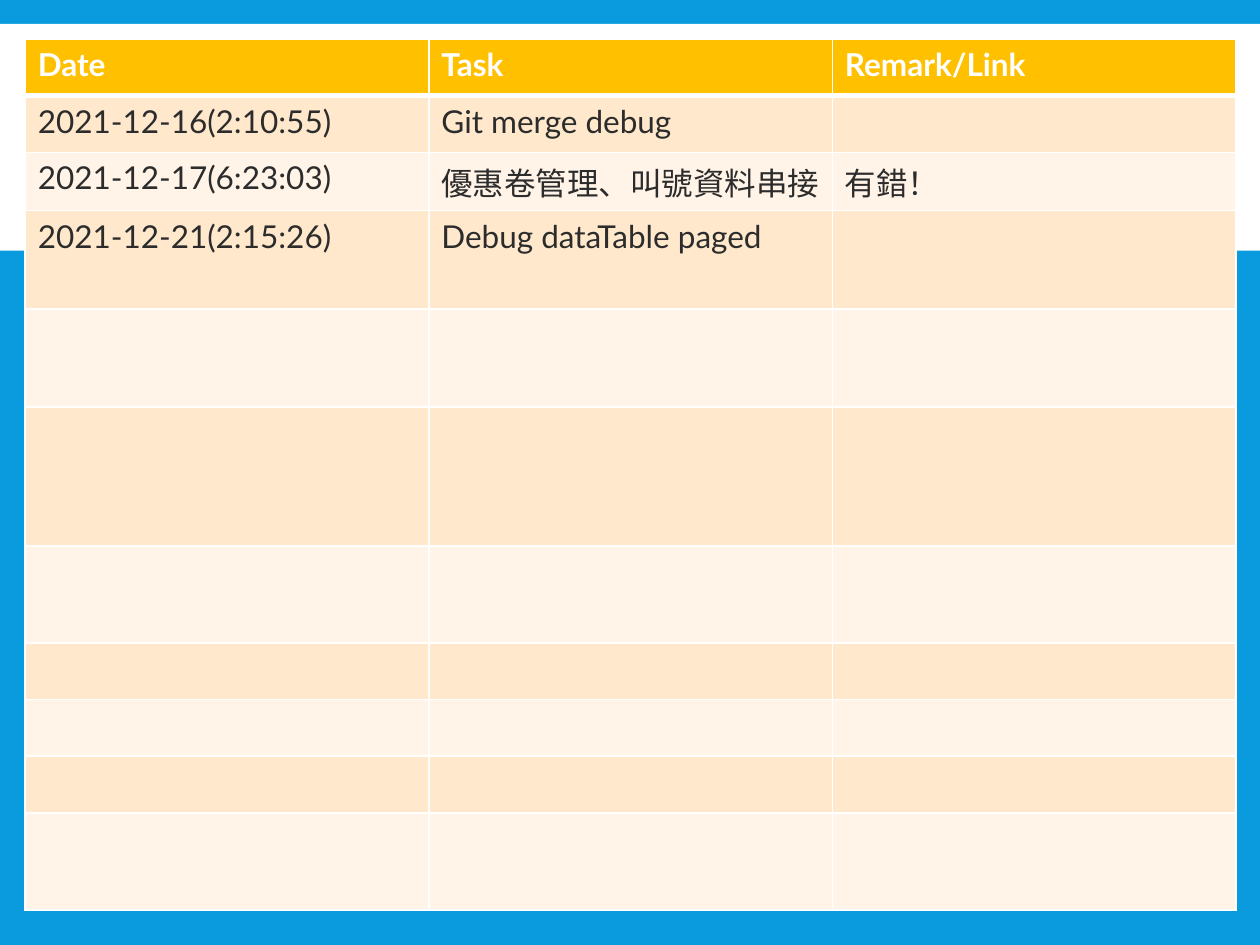
"""Build the dated task log slide."""
from dataclasses import dataclass
from itertools import zip_longest

from lxml.etree import SubElement
from pptx import Presentation
from pptx.dml.color import RGBColor
from pptx.enum.shapes import MSO_SHAPE
from pptx.oxml.ns import qn
from pptx.slide import Slide
from pptx.table import _Cell
from pptx.util import Inches, Pt


@dataclass(frozen=True)
class Theme:
    background: str = "099BDD"
    white: str = "FFFFFF"
    header: str = "FFC000"
    bands: tuple[str, str] = ("FFE8CC", "FFF4E7")
    ink: str = "2C2C2C"
    font: str = "Lato"
    size: int = 18
    rule: int = 1
    header_rule: int = 3


@dataclass(frozen=True)
class LogRow:
    height: float
    texts: tuple[str, ...] = ()


THEME = Theme()
COLUMN_COUNT = 3
TABLE_LEFT, TABLE_TOP, TABLE_WIDTH = 0.2, 0.31, 9.61
LOG_ROWS = (
    LogRow(0.45, ("Date", "Task", "Remark/Link")),
    LogRow(0.45, ("2021-12-16(2:10:55)", "Git merge debug")),
    LogRow(0.45, ("2021-12-17(6:23:03)", "優惠卷管理、叫號資料串接", "有錯！")),
    LogRow(0.78, ("2021-12-21(2:15:26)", "Debug dataTable paged")),
    LogRow(0.78),
    LogRow(1.1),
    LogRow(0.77),
    LogRow(0.45),
    LogRow(0.45),
    LogRow(0.45),
    LogRow(0.77),
)


def write_text(cell: _Cell, text: str, *, color: str, bold: bool = False) -> None:
    """Write one formatted span into a cell."""
    para = cell.text_frame.paragraphs[0]
    para.font.size = Pt(THEME.size)
    if not text:
        return
    span = para.add_run()
    span.text = text
    span.font.name = THEME.font
    span.font.size = Pt(THEME.size)
    span.font.bold = bold
    span.font.color.rgb = RGBColor.from_string(color)


def style_cell(cell: _Cell, *, fill: str, top: int, bottom: int) -> None:
    """Set the fill and the white borders of a cell."""
    properties = cell._tc.get_or_add_tcPr()
    widths = {"L": THEME.rule, "R": THEME.rule, "T": top, "B": bottom}
    for side, width in widths.items():
        line = SubElement(properties, qn(f"a:ln{side}"), w=str(Pt(width)))
        solid = SubElement(line, qn("a:solidFill"))
        SubElement(solid, qn("a:srgbClr"), val=THEME.white)
    cell.fill.solid()
    cell.fill.fore_color.rgb = RGBColor.from_string(fill)


def add_band(page: Slide) -> None:
    """Draw the white band behind the top of the table."""
    band = page.shapes.add_shape(
        MSO_SHAPE.RECTANGLE, Inches(0), Inches(0.19), Inches(10), Inches(1.8)
    )
    band.shadow.inherit = False
    band.fill.solid()
    band.fill.fore_color.rgb = RGBColor.from_string(THEME.white)
    band.line.fill.background()


def add_log_table(page: Slide) -> None:
    """Draw the task log with a header and banded rows."""
    height = sum(row.height for row in LOG_ROWS)
    table = page.shapes.add_table(
        len(LOG_ROWS), COLUMN_COUNT, Inches(TABLE_LEFT), Inches(TABLE_TOP),
        Inches(TABLE_WIDTH), Inches(height),
    ).table
    for column in table.columns:
        column.width = Inches(TABLE_WIDTH / COLUMN_COUNT)
    for index, (row, entry) in enumerate(zip(table.rows, LOG_ROWS)):
        row.height = Inches(entry.height)
        is_header = index == 0
        fill = THEME.header if is_header else THEME.bands[(index - 1) % 2]
        top = THEME.header_rule if index == 1 else THEME.rule
        bottom = THEME.header_rule if is_header else THEME.rule
        color = THEME.white if is_header else THEME.ink
        for cell, text in zip_longest(row.cells, entry.texts, fillvalue=""):
            style_cell(cell, fill=fill, top=top, bottom=bottom)
            write_text(cell, text, color=color, bold=is_header)


def build_deck() -> None:
    """Build and save the deck."""
    deck = Presentation()
    deck.slide_width, deck.slide_height = Inches(10), Inches(7.5)
    page = deck.slides.add_slide(deck.slide_layouts[6])
    page.background.fill.solid()
    page.background.fill.fore_color.rgb = RGBColor.from_string(THEME.background)
    add_band(page)
    add_log_table(page)
    deck.save("out.pptx")


build_deck()
